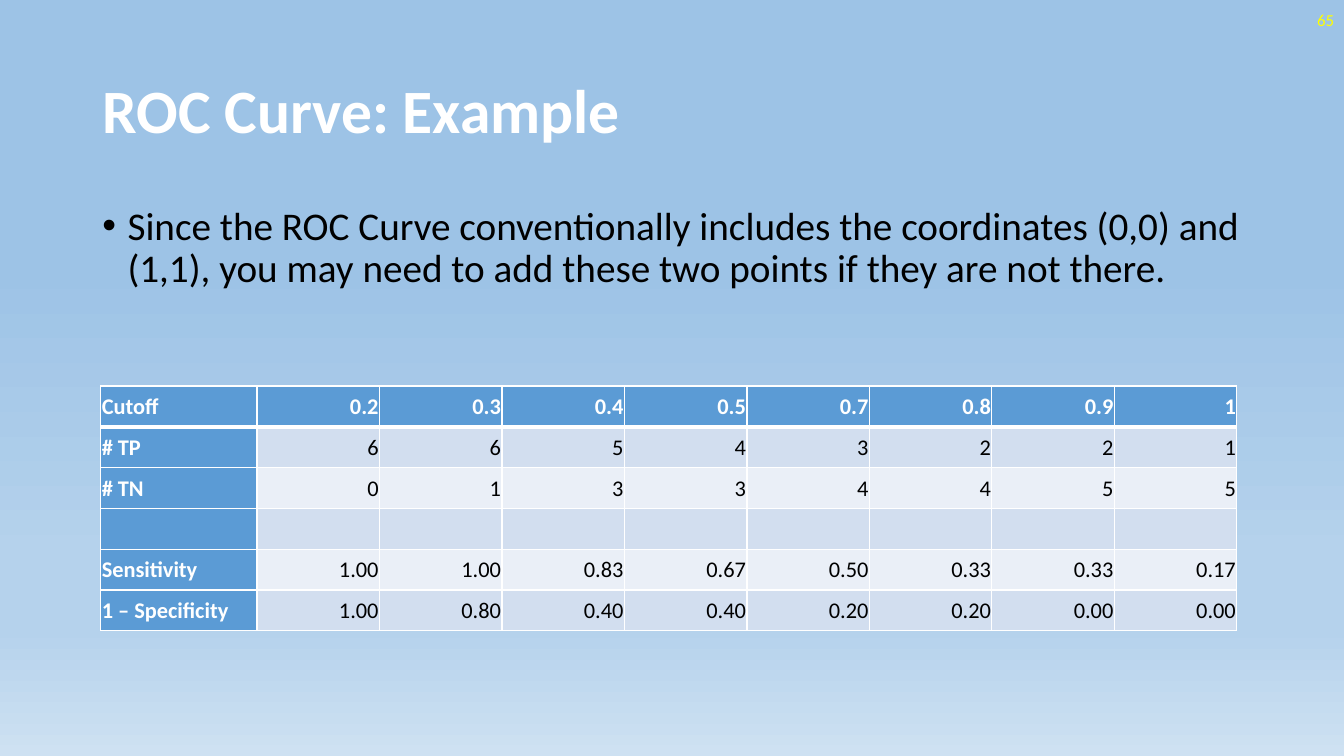
from lxml.etree import SubElement
from pptx import Presentation
from pptx.dml.color import RGBColor
from pptx.enum.text import MSO_ANCHOR, PP_ALIGN
from pptx.oxml.ns import qn
from pptx.util import Inches, Pt

HUES = {
    "white": "FFFFFF", "black": "000000", "yellow": "FFFF00",
    "head": "5B9BD5", "dark": "D2DEEF", "light": "EAEFF7",
}
SKY = [(35, "9DC3E6"), (74, "B5D2EC"), (83, "B5D2EC"), (100, "CEE1F2")]
TITLE = {"size": Pt(44), "bold": True}
BODY = {"size": Pt(28)}
PAGE = {"size": Pt(12)}
CELL = {"size": Pt(16)}
INSET = {
    "margin_left": Inches(0.01), "margin_right": Inches(0.01),
    "margin_top": Inches(0.01), "margin_bottom": 0,
    "vertical_anchor": MSO_ANCHOR.MIDDLE,
}
ROWS = [
    ["Cutoff", "0.2", "0.3", "0.4", "0.5", "0.7", "0.8", "0.9", "1"],
    ["# TP", "6", "6", "5", "4", "3", "2", "2", "1"],
    ["# TN", "0", "1", "3", "3", "4", "4", "5", "5"],
    [""] * 9,
    ["Sensitivity", "1.00", "1.00", "0.83", "0.67", "0.50", "0.33", "0.33", "0.17"],
    ["1 – Specificity", "1.00", "0.80", "0.40", "0.40", "0.20", "0.20", "0.00", "0.00"],
]


def apply(item, vals):
    for name, val in vals.items():
        setattr(item, name, val)


class Deck:
    """Places elements on a grid of 0.1 inch columns and rows."""

    font = "Calibri"
    wide, high = 133.33, 75

    def __init__(self):
        self.prs = Presentation()
        self.prs.slide_width = self.grid(self.wide)
        self.prs.slide_height = self.grid(self.high)
        self.slide = self.prs.slides.add_slide(self.prs.slide_layouts[6])

    def grid(self, n):
        return Inches(n / 10)

    def back(self, stops):
        fill = self.slide.background.fill
        fill.gradient()
        fill.gradient_angle = 270
        group = next(self.slide.element.iter(qn("a:gsLst")))
        for old in list(group):
            group.remove(old)
        for pos, hue in stops:
            stop = SubElement(group, qn("a:gs"), pos=str(pos * 1000))
            SubElement(stop, qn("a:srgbClr"), val=hue)

    def words(self, para, text, hue, style):
        run = para.add_run()
        run.text = text
        apply(run.font, {"name": self.font, **style})
        run.font.color.rgb = RGBColor.from_string(HUES[hue])

    def text(self, box, text, hue, style, form, anchor=MSO_ANCHOR.MIDDLE):
        frame = self.slide.shapes.add_textbox(*map(self.grid, box)).text_frame
        apply(frame, {"word_wrap": True, "vertical_anchor": anchor})
        para = frame.paragraphs[0]
        apply(para, form)
        self.words(para, text, hue, style)
        return para

    def bullet(self, para):
        props = para._p.get_or_add_pPr()
        props.set("marL", str(Inches(0.25)))
        props.set("indent", str(-Inches(0.25)))
        SubElement(props, qn("a:buFont"), typeface="Arial")
        SubElement(props, qn("a:buChar"), char="•")

    def edge(self, cell, widths):
        props = cell._tc.get_or_add_tcPr()
        for side, width in widths.items():
            line = SubElement(props, qn("a:ln" + side), w=str(Pt(width)))
            fill = SubElement(line, qn("a:solidFill"))
            SubElement(fill, qn("a:srgbClr"), val=HUES["white"])

    def table(self, box, rows, first):
        shape = self.slide.shapes.add_table(len(rows), len(rows[0]), *map(self.grid, box))
        table = shape.table
        rest = (box[2] - first) / (len(rows[0]) - 1)
        for c, col in enumerate(table.columns):
            col.width = self.grid(rest if c else first)
        for r, row in enumerate(rows):
            table.rows[r].height = self.grid(box[3] / len(rows))
            for c, text in enumerate(row):
                self.cell(table.cell(r, c), r, c, text)

    def cell(self, cell, r, c, text):
        head = r == 0 or c == 0
        self.edge(cell, {"L": 1, "R": 1, "T": 3 if r == 1 else 1, "B": 1 if r else 3})
        apply(cell, INSET)
        cell.fill.solid()
        band = "head" if head else "dark" if r % 2 else "light"
        cell.fill.fore_color.rgb = RGBColor.from_string(HUES[band])
        para = cell.text_frame.paragraphs[0]
        para.alignment = PP_ALIGN.RIGHT if c else PP_ALIGN.LEFT
        if text:
            hue = "white" if head else "black"
            self.words(para, text, hue, {**CELL, "bold": head})


def main():
    deck = Deck()
    deck.back(SKY)

    # Title and point
    deck.text((9.17, 4, 115, 14.5), "ROC Curve: Example", "white", TITLE,
              {"line_spacing": 0.9})
    point = deck.text(
        (9.17, 20, 115, 47.6),
        "Since the ROC Curve conventionally includes the coordinates (0,0) and "
        "(1,1), you may need to add these two points if they are not there.",
        "black", BODY, {"line_spacing": 0.9, "space_before": Pt(10)}, MSO_ANCHOR.TOP)
    deck.bullet(point)

    # Page number
    deck.text((103.33, 0, 30, 4), "65", "yellow", PAGE, {"alignment": PP_ALIGN.RIGHT})

    # Cutoff table
    deck.table((10, 38.3, 112.7, 24.3), ROWS, 15.5)

    deck.prs.save("out.pptx")


if __name__ == "__main__":
    main()
